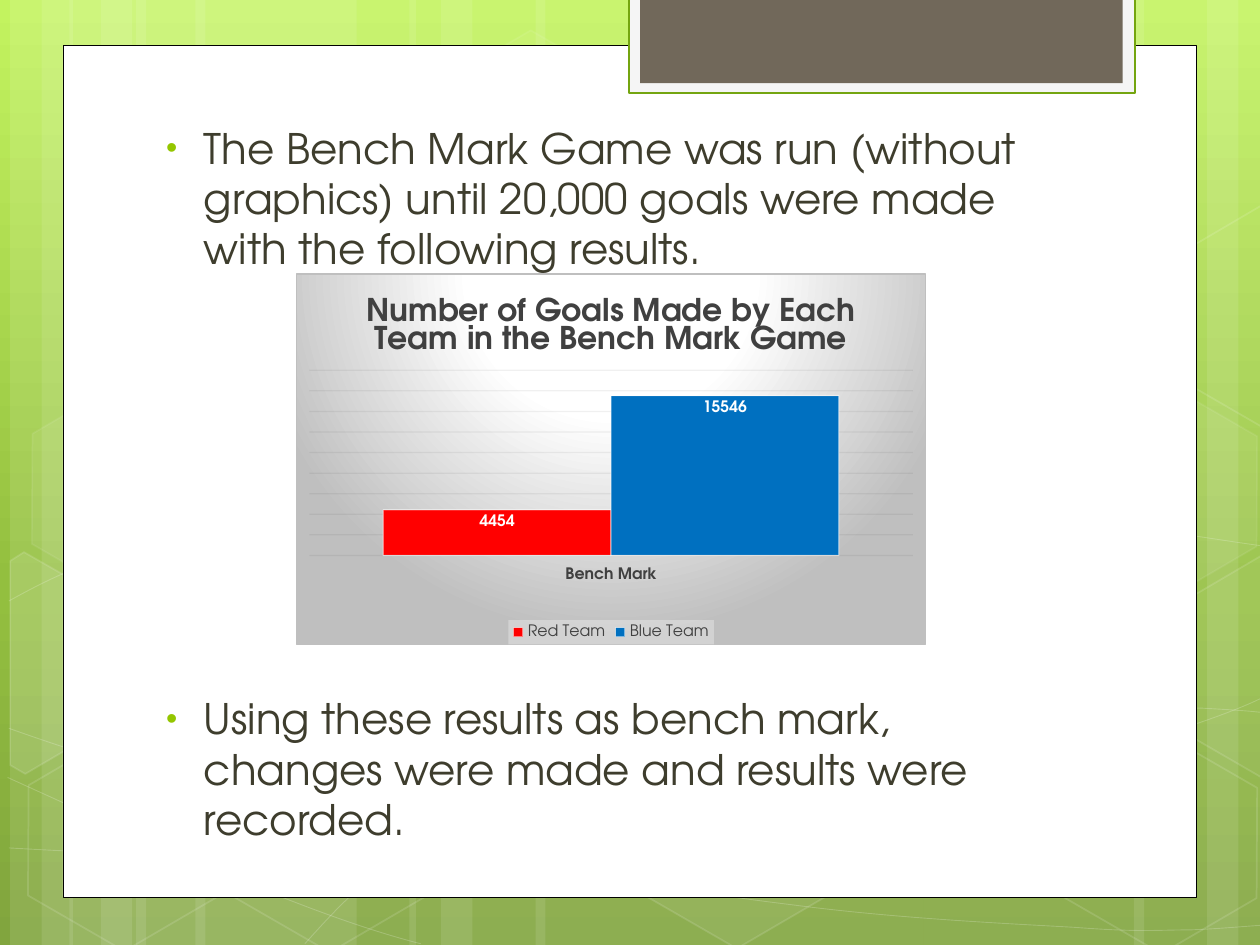
from math import cos, radians, sin
from typing import NamedTuple, Optional

from pptx import Presentation
from pptx.chart.data import CategoryChartData
from pptx.dml.color import RGBColor
from pptx.enum.chart import XL_CHART_TYPE, XL_LABEL_POSITION, XL_LEGEND_POSITION
from pptx.enum.shapes import MSO_SHAPE
from pptx.oxml import parse_xml
from pptx.oxml.ns import nsdecls, qn
from pptx.util import Cm, Pt

FONT = "TeX Gyre Adventor"
WHITE = "FFFFFF"
TILT = 30


class Ink(NamedTuple):
    color: str
    opacity: int = 100
    weight: float = 1


class Hexagon(NamedTuple):
    left: float
    top: float
    fill: int
    line: int


class Fragment(NamedTuple):
    center: tuple
    points: list
    fill: int


class Team(NamedTuple):
    name: str
    goals: int
    color: str


STRIPES = [(1.08, 1.75), (0.08, 0.5), (0.33, 0.83), (1.55, 1.75), (0.55, 0.5), (0.8, 0.83),
           (7.33, 1.75), (9.58, 0.5), (9, 0.83), (4.25, 3.08), (3.25, 0.5), (3.5, 0.83)]
WAVES = [
    [(0.07, 6.73), (0.61, 6.76), (1.15, 6.79), (1.9, 6.78), (2.65, 6.77), (3.58, 6.75),
     (4.58, 6.65), (5.58, 6.55), (7, 6.36), (7.92, 6.17), (8.83, 5.98), (9.77, 5.68), (10.07, 5.51)],
    [(0.07, 4.77), (0.36, 4.61), (0.65, 4.46), (1.21, 4.31), (1.78, 4.16), (2.59, 3.94),
     (3.47, 3.87), (4.36, 3.8), (5.44, 3.79), (6.54, 3.87), (7.64, 3.95), (9.47, 4.26), (10.07, 4.34)],
    [(0.06, 6.17), (1.27, 6.72), (2.47, 7.27), (3.34, 7.49)],
    [(0.07, 5.78), (0.38, 5.89), (0.7, 6), (1.28, 6.16), (1.86, 6.31), (2.73, 6.56), (3.57, 6.73),
     (4.4, 6.9), (5.45, 7.08), (6.28, 7.18), (7.11, 7.29), (8, 7.33), (8.53, 7.36),
     (9.05, 7.4), (9.19, 7.38), (9.45, 7.38), (9.71, 7.37), (9.89, 7.35), (10.07, 7.34)],
    [(2.42, 7.49), (2.6, 7.29), (2.78, 7.09), (3.02, 6.91), (3.26, 6.73), (3.6, 6.53), (3.88, 6.39),
     (4.16, 6.25), (4.33, 6.19), (4.7, 6.09), (5.06, 5.99), (5.73, 5.85), (6.08, 5.78),
     (6.44, 5.71), (6.49, 5.71), (6.8, 5.69), (7.11, 5.66), (7.6, 5.63), (7.94, 5.62),
     (8.29, 5.61), (8.86, 5.62), (8.86, 5.62), (8.86, 5.62), (9.53, 5.62), (9.53, 5.62),
     (9.71, 5.63), (9.88, 5.64), (9.97, 5.65), (10.06, 5.66), (10.03, 5.65), (10.06, 5.66)],
]
HEXAGONS = [
    Hexagon(3.34, 0.36, 4, 8), Hexagon(4.97, 5.89, 6, 12), Hexagon(0.11, 5.91, 0, 12),
    Hexagon(0.14, 3.12, 7, 8), Hexagon(1.74, 5.92, 0, 12), Hexagon(7.53, 4.53, 10, 12),
    Hexagon(8.34, 5.93, 0, 12), Hexagon(8.34, 3.14, 7, 8),
]
FRAGMENTS = [
    Fragment((0.36, 5.35), [(0.08, 4.45), (0.19, 4.38), (0.96, 4.82), (0.95, 5.7),
                            (0.2, 6.14), (0.08, 6.07)], 10),
    Fragment((9.85, 5.2), [(9.26, 4.85), (10.01, 4.41), (10.09, 4.46), (10.09, 6.13),
                           (10.02, 6.17), (9.26, 5.73)], 4),
    Fragment((9.85, 2.41), [(9.26, 2.07), (10.01, 1.63), (10.1, 1.68), (10.09, 3.35),
                            (10.02, 3.39), (9.26, 2.95)], 0),
]
TEAMS = [Team("Red Team", 4454, "FF0000"), Team("Blue Team", 15546, "0070C0")]
POINTS = [
    ("The Bench Mark Game was run (without graphics) until 20,000 goals were made "
     "with the following results.", 0),
    ("Using these results as bench mark, changes were made and results were recorded.", 239.7),
]


def span(inches: float) -> Cm:
    """Turn a length in inches into Cm."""
    return Cm(inches * 2.54)


def rgb(color: str) -> RGBColor:
    """Turn a hex string into a colour."""
    return RGBColor.from_string(color)


def paint(fill, ink: Optional[Ink]) -> None:
    """Fill with a solid, possibly translucent colour, or with nothing."""
    if ink is None or ink.opacity == 0:
        fill.background()
        return
    fill.solid()
    fill.fore_color.rgb = rgb(ink.color)
    if ink.opacity < 100:
        color = fill._xPr.find(qn("a:solidFill"))[0]
        color.append(parse_xml(f'<a:alpha {nsdecls("a")} val="{ink.opacity * 1000}"/>'))


def finish(shape, fill: Optional[Ink], line: Optional[Ink]):
    """Set fill and line and drop the shadow."""
    shape.shadow.inherit = False
    paint(shape.fill, fill)
    stroke(shape.line, line)
    return shape


def stroke(line, ink: Optional[Ink]) -> None:
    """Set a line's colour and weight."""
    paint(line.fill, ink)
    if ink:
        line.width = Pt(ink.weight)


def preset(slide, kind, box: tuple, fill: Optional[Ink], line: Optional[Ink] = None):
    """Add a preset shape."""
    return finish(slide.shapes.add_shape(kind, *map(span, box)), fill, line)


def outline(slide, points: list, closed: bool, fill: Optional[Ink], line: Ink):
    """Add a freeform through the points."""
    corners = [(span(x), span(y)) for x, y in points]
    builder = slide.shapes.build_freeform(*corners[0], scale=1.0)
    builder.add_line_segments(corners[1:], close=closed)
    return finish(builder.convert_to_shape(), fill, line)


def bend(shape) -> None:
    """Turn every three segments of a freeform into one cubic curve."""
    segments = list(shape._element.iter(qn("a:lnTo")))
    for first in range(0, len(segments), 3):
        curve = parse_xml(f'<a:cubicBezTo {nsdecls("a")}/>')
        segments[first].addprevious(curve)
        for segment in segments[first:first + 3]:
            curve.append(segment[0])
            segment.getparent().remove(segment)


def untilt(point: tuple, center: tuple) -> tuple:
    """Turn a point back by the tilt around the center."""
    x, y = point[0] - center[0], point[1] - center[1]
    c, s = cos(radians(TILT)), sin(radians(TILT))
    return center[0] + x * c + y * s, center[1] - x * s + y * c


def gradient(stops: list, direction: str) -> str:
    """Write a gradient fill."""
    marks = "".join(f'<a:gs pos="{at * 1000}"><a:srgbClr val="{color}"/></a:gs>' for at, color in stops)
    return f'<a:gradFill rotWithShape="1"><a:gsLst>{marks}</a:gsLst>{direction}</a:gradFill>'


def style(font, size: float, color: str, bold: bool = False) -> None:
    """Set a font's face, size, colour and weight."""
    font.name, font.size, font.bold = FONT, Pt(size), bold
    font.color.rgb = rgb(color)


def write(paragraph, text: str, size: float, color: str, bold: bool = False) -> None:
    """Add one styled run."""
    run = paragraph.add_run()
    run.text = text
    style(run.font, size, color, bold)


def draw_backdrop(slide) -> None:
    """Draw the green backdrop, the white panel and the top tab."""
    fill = gradient([(0, "C3F35F"), (62, "93BF3F"), (100, "81A53E")], '<a:lin ang="5400000" scaled="0"/>')
    slide._element.cSld.insert(0, parse_xml(
        f'<p:bg {nsdecls("p", "a")}><p:bgPr>{fill}<a:effectLst/></p:bgPr></p:bg>'))
    for left, width in STRIPES:
        preset(slide, MSO_SHAPE.RECTANGLE, (left, 0, width, 7.5), Ink(WHITE, 10))
    for wave in WAVES:
        bend(outline(slide, wave, False, None, Ink(WHITE, 20, 0.5)))
    for left, top, opacity, edge in HEXAGONS:
        cell = preset(slide, MSO_SHAPE.HEXAGON, (left, top, 1.75, 1.52), Ink(WHITE, opacity), Ink(WHITE, edge))
        cell.adjustments[0] = 0.285
        cell.rotation = TILT
    for center, points, opacity in FRAGMENTS:
        upright = [untilt(point, center) for point in points]
        outline(slide, upright, True, Ink(WHITE, opacity), Ink(WHITE, 12)).rotation = TILT
    preset(slide, MSO_SHAPE.RECTANGLE, (0.5, 0.36, 9, 6.76), Ink(WHITE), Ink("000000", weight=0.5))
    preset(slide, MSO_SHAPE.RECTANGLE, (4.99, -0.02, 4.02, 0.76), Ink("F5F5F5"), Ink("74A510", weight=1.25))
    preset(slide, MSO_SHAPE.RECTANGLE, (5.08, -0.02, 3.83, 0.68), Ink("71685A"))


def draw_points(slide) -> None:
    """Write the two bulleted points around the chart."""
    frame = slide.shapes.add_textbox(*map(span, (1.14, 0.92, 7.41, 5.92))).text_frame
    frame.word_wrap = True
    for index, (text, gap) in enumerate(POINTS):
        paragraph = frame.add_paragraph() if index else frame.paragraphs[0]
        paragraph.space_before = Pt(gap)
        write(paragraph, text, 24, "3E3D2D")
        properties = paragraph._p.get_or_add_pPr()
        properties.set("marL", str(span(0.38)))
        properties.set("indent", str(span(-0.3)))
        for bullet in ('buClr {}><a:srgbClr val="94C600"/></a:buClr>', 'buSzPct {} val="76000"/>',
                       'buFont {} typeface="Arial"/>', 'buChar {} char="•"/>'):
            properties.append(parse_xml("<a:" + bullet.format(nsdecls("a"))))


def draw_goals(slide) -> None:
    """Chart the goals of each team."""
    data = CategoryChartData()
    data.categories = ["1"]
    for team in TEAMS:
        data.add_series(team.name, [team.goals])
    box = map(span, (2.35, 2.17, 5, 2.95))
    chart = slide.shapes.add_chart(XL_CHART_TYPE.COLUMN_CLUSTERED, *box, data).chart
    style(chart.font, 10, "000000")
    write(chart.chart_title.text_frame.paragraphs[0],
          "Number of Goals Made by Each Team in the Bench Mark Game", 18, "404040", True)
    categories, values = chart.category_axis, chart.value_axis
    write(categories.axis_title.text_frame.paragraphs[0], "Bench Mark", 9, "404040", True)
    categories.visible = values.visible = False
    values.minimum_scale, values.maximum_scale, values.major_unit = 0, 18000, 2000
    stroke(values.major_gridlines.format.line, Ink("0D0D0D", 5, 0.75))
    plot = chart.plots[0]
    plot.gap_width, plot.overlap, plot.vary_by_categories = 65, 0, False
    for series, team in zip(plot.series, TEAMS):
        paint(series.format.fill, Ink(team.color))
        stroke(series.format.line, Ink(WHITE, 50, 0.75))
        labels = series.data_labels
        labels.show_value, labels.position = True, XL_LABEL_POSITION.INSIDE_END
        style(labels.font, 9, WHITE, True)
    chart.has_legend = True
    legend = chart.legend
    legend.position, legend.include_in_layout = XL_LEGEND_POSITION.BOTTOM, False
    style(legend.font, 9, "404040")
    legend._element.find(qn("c:txPr")).addprevious(parse_xml(
        f'<c:spPr {nsdecls("c", "a")}><a:solidFill><a:srgbClr val="F2F2F2"><a:alpha val="39000"/>'
        '</a:srgbClr></a:solidFill><a:ln><a:noFill/></a:ln></c:spPr>'))
    glow = gradient([(0, WHITE), (39, WHITE), (100, "BFBFBF")], '<a:path path="circle">'
                    '<a:fillToRect l="50000" t="-80000" r="50000" b="180000"/></a:path>')
    body = chart._chartSpace.find(qn("c:chart"))
    body.addnext(parse_xml(f'<c:spPr {nsdecls("c", "a")}>{glow}<a:ln w="9525"><a:solidFill>'
                           '<a:srgbClr val="BFBFBF"/></a:solidFill></a:ln></c:spPr>'))
    area = body.find(qn("c:plotArea"))
    for layout in area.findall(qn("c:layout")):
        area.remove(layout)
    places = "".join(f'<c:{key} val="{value}"/>' for key, value in (
        ("layoutTarget", "inner"), ("xMode", "edge"), ("yMode", "edge"),
        ("x", 0.02), ("y", 0.26), ("w", 0.96), ("h", 0.5)))
    area.insert(0, parse_xml(f'<c:layout {nsdecls("c")}><c:manualLayout>{places}</c:manualLayout></c:layout>'))


def main() -> None:
    """Build the bench mark slide."""
    deck = Presentation()
    deck.slide_width, deck.slide_height = span(10), span(7.5)
    slide = deck.slides.add_slide(deck.slide_layouts[6])
    draw_backdrop(slide)
    draw_points(slide)
    draw_goals(slide)
    deck.save("out.pptx")


if __name__ == "__main__":
    main()
